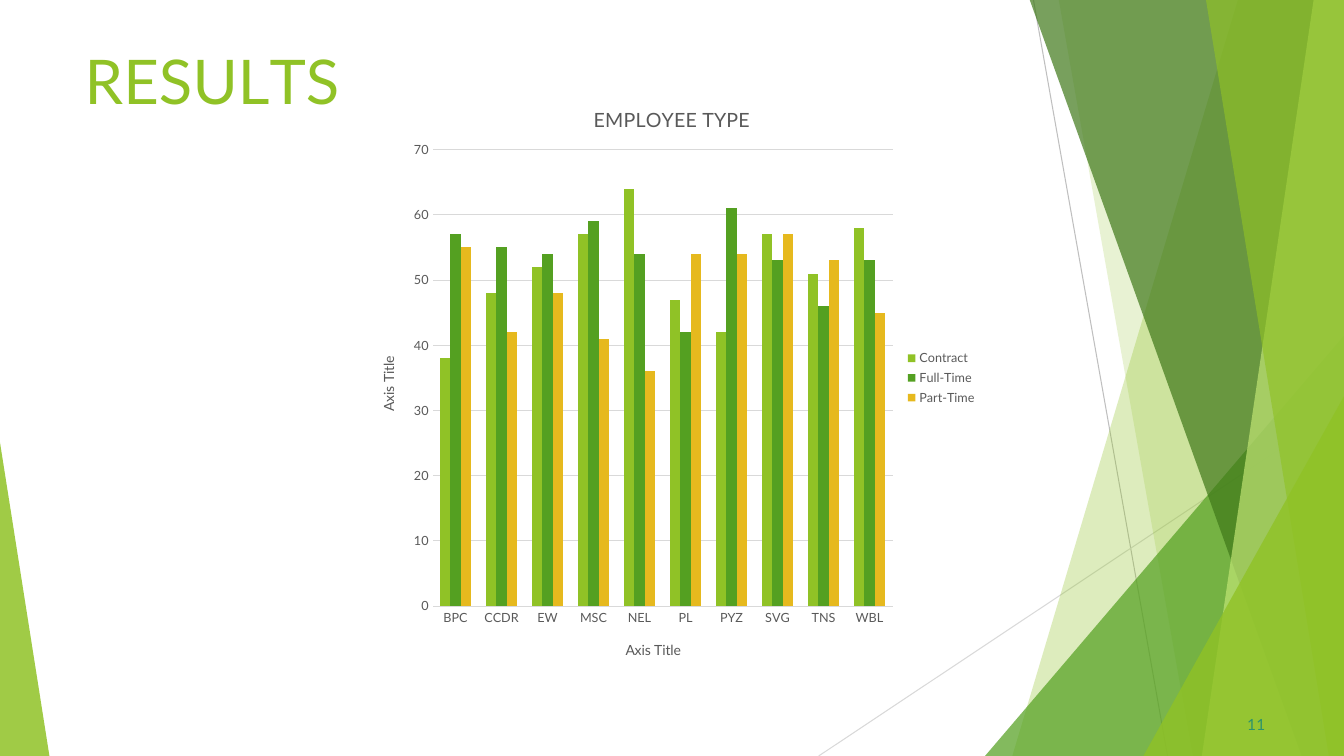
from lxml.etree import SubElement
from pptx import Presentation
from pptx.chart.data import CategoryChartData
from pptx.dml.color import RGBColor
from pptx.enum.chart import XL_CHART_TYPE, XL_LEGEND_POSITION, XL_TICK_MARK
from pptx.enum.shapes import MSO_CONNECTOR, MSO_SHAPE
from pptx.enum.text import MSO_ANCHOR
from pptx.oxml import parse_xml
from pptx.oxml.ns import nsdecls, qn
from pptx.util import Inches, Pt

HUES = {"lime": "90C226", "green": "54A021", "gold": "E6B91E", "dark": "3F7819",
        "pale": "C0E474", "teal": "2D936B", "text": "595959",
        "grid": "D9D9D9", "line": "BFBFBF"}


def style(font, size, hue):
    looks = {"name": "Lato", "size": Pt(size), "bold": False}
    for key, val in looks.items():
        setattr(font, key, val)
    font.color.rgb = RGBColor.from_string(HUES[hue])


def place(node, **spots):
    """Fix the place of a chart part, in shares of the chart size."""
    old = node.find(qn("c:layout"))
    if old is not None:
        node.remove(old)
    tags = "".join(f'<c:{key} val="{val}"/>' for key, val in spots.items())
    new = parse_xml(f'<c:layout {nsdecls("c")}><c:manualLayout>{tags}'
                    '</c:manualLayout></c:layout>')
    text = node.find(qn("c:tx"))
    node.insert(0 if text is None else 1, new)


deck = Presentation()
deck.slide_width, deck.slide_height = Inches(13.33), Inches(7.5)
slide = deck.slides.add_slide(deck.slide_layouts[5])
shapes = slide.shapes

# Thin lines behind the facets
for x1, y1, x2, y2, hue in [(10.25, 0, 11.58, 7.5, "line"),
                            (13.33, 4.03, 8.12, 7.5, "grid")]:
    line = shapes.add_connector(MSO_CONNECTOR.STRAIGHT, Inches(x1), Inches(y1),
                                Inches(x2), Inches(y2))
    line.line.width = Pt(0.75)
    line.line.color.rgb = RGBColor.from_string(HUES[hue])
    SubElement(line._element.spPr, qn("a:effectLst"))

# Facets, back to front: bands (top and foot of the slanted edge) run to the
# right edge, triangles have a box and an apex
facets = [("band", (12.28, 10.04), "lime", 30),
          ("band", (10.5, 11.83), "lime", 20),
          (1, (9.77, 3.33, 3.56, 4.17), "green", 72),
          ("band", (10.21, 12.91), "dark", 70),
          ("band", (13.03, 11.92), "pale", 70),
          ("band", (11.96, 13.18), "lime", 65),
          (1, (11.34, 3.93, 1.99, 3.57), "lime", 80),
          (0, (0, 4.39, 0.49, 3.11), "lime", 85)]
for kind, spot, hue, alpha in facets:
    if kind == "band":
        top, foot = spot
        path = shapes.build_freeform(Inches(top), Inches(-0.01))
        path.add_line_segments([(Inches(x), Inches(y)) for x, y in
                                [(13.33, -0.01), (13.33, 7.5), (foot, 7.5)]])
        facet = path.convert_to_shape()
    else:
        facet = shapes.add_shape(MSO_SHAPE.ISOSCELES_TRIANGLE,
                                 *[Inches(v) for v in spot])
        facet.adjustments[0] = kind
    facet.shadow.inherit = False
    facet.line.fill.background()
    facet.fill.solid()
    facet.fill.fore_color.rgb = RGBColor.from_string(HUES[hue])
    tint = facet._element.spPr.find(f'{qn("a:solidFill")}/{qn("a:srgbClr")}')
    SubElement(tint, qn("a:alpha")).set("val", str(alpha * 1000))

# Title and slide number; each run has its letter spacing in 1/100 pt
number = shapes.add_textbox(0, 0, 0, 0)
words = [(shapes.title, (0.83, 0.42, 2.67, 0.76), 44, "lime", 1.1, 0.01,
          [("R", 0), ("E", -40), ("S", 10), ("U", -30), ("L", -400), ("TS", 0)]),
         (number, (12.33, 7.08, 0.25, 0.21), 11, "teal", 0.6, 0.04, [("11", 10)])]
for box, spot, size, hue, space, indent, runs in words:
    box.left, box.top, box.width, box.height = [Inches(v) for v in spot]
    frame = box.text_frame
    looks = {"margin_left": 0, "margin_right": 0, "margin_bottom": 0,
             "margin_top": Inches(0.01), "word_wrap": True,
             "vertical_anchor": MSO_ANCHOR.TOP}
    for key, val in looks.items():
        setattr(frame, key, val)
    para = frame.paragraphs[0]
    para.space_before = Pt(space)
    props = para._p.get_or_add_pPr()
    for key, val in {"marL": Inches(indent), "indent": 0, "algn": "l"}.items():
        props.set(key, str(val))
    for text, gap in runs:
        run = para.add_run()
        run.text = text
        style(run.font, size, hue)
        run.font._element.set("spc", str(gap))

# Chart data
data = CategoryChartData()
data.categories = ["BPC", "CCDR", "EW", "MSC", "NEL", "PL", "PYZ", "SVG", "TNS", "WBL"]
rows = [("Contract", "lime", [38, 48, 52, 57, 64, 47, 42, 57, 51, 58]),
        ("Full-Time", "green", [57, 55, 54, 59, 54, 42, 61, 53, 46, 53]),
        ("Part-Time", "gold", [55, 42, 48, 41, 36, 54, 54, 57, 53, 45])]
for name, hue, vals in rows:
    data.add_series(name, vals)
chart = shapes.add_chart(XL_CHART_TYPE.COLUMN_CLUSTERED, Inches(3.54), Inches(0.77),
                         Inches(6.25), Inches(5.96), data).chart
style(chart.font, 10, "text")

# Columns
plot = chart.plots[0]
plot.gap_width, plot.overlap, plot.vary_by_categories = 150, 0, False
for bars, (name, hue, vals) in zip(plot.series, rows):
    bars.format.fill.solid()
    bars.format.fill.fore_color.rgb = RGBColor.from_string(HUES[hue])

# Axes
for axis in (chart.category_axis, chart.value_axis):
    axis.major_tick_mark = axis.minor_tick_mark = XL_TICK_MARK.NONE
    axis.format.line.fill.background()
    style(axis.tick_labels.font, 9, "text")
scale = chart.value_axis
scale.minimum_scale, scale.maximum_scale, scale.major_unit = 0, 70, 10
grid = scale.major_gridlines.format.line
grid.width = Pt(0.75)
grid.color.rgb = RGBColor.from_string(HUES["grid"])

# Chart and axis titles
for part, text, size in [(chart, "EMPLOYEE TYPE", 14),
                         (chart.category_axis, "Axis Title", 10),
                         (scale, "Axis Title", 10)]:
    title = part.chart_title if part is chart else part.axis_title
    run = title.text_frame.paragraphs[0].add_run()
    run.text = text
    style(run.font, size, "text")
chart.chart_title.include_in_layout = False
turn = scale.axis_title.text_frame._txBody.find(qn("a:bodyPr"))
turn.set("rot", "-5400000")
turn.set("vert", "horz")

# Legend and fixed places
chart.has_legend = True
chart.legend.position = XL_LEGEND_POSITION.RIGHT
chart.legend.include_in_layout = False
style(chart.legend.font, 9, "text")
place(chart.chart_title._element, xMode="edge", yMode="edge", x=0.37, y=0.04)
place(chart._chartSpace.chart.plotArea, layoutTarget="inner", xMode="edge",
      yMode="edge", x=0.12, y=0.12, w=0.73, h=0.76)

deck.save("out.pptx")
